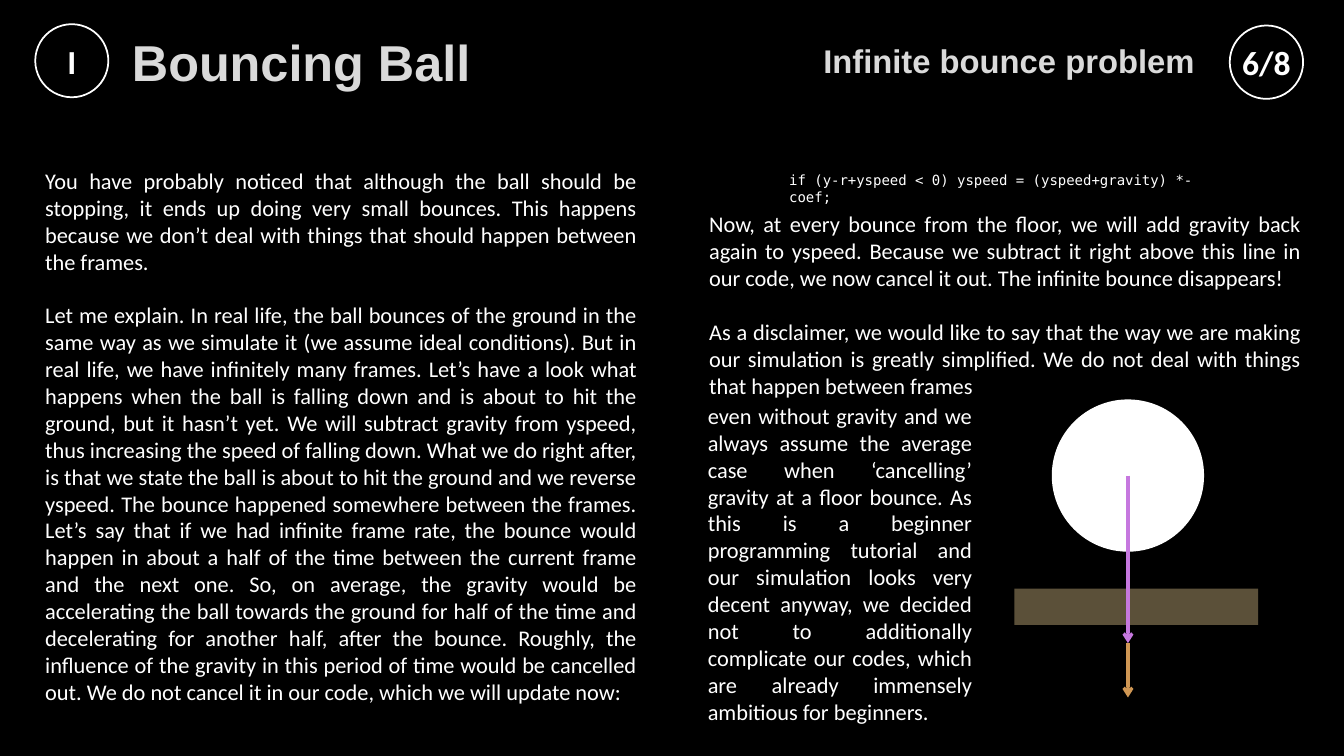
from lxml.etree import SubElement
from pptx import Presentation
from pptx.dml.color import RGBColor
from pptx.enum.shapes import MSO_CONNECTOR, MSO_SHAPE
from pptx.enum.text import MSO_ANCHOR, MSO_AUTO_SIZE, PP_ALIGN
from pptx.oxml.ns import qn
from pptx.util import Pt

BLACK = RGBColor(0x00, 0x00, 0x00)
WHITE = RGBColor(0xFF, 0xFF, 0xFF)
LIGHT_GREY = RGBColor(0xDA, 0xDA, 0xDA)
FLOOR_BROWN = RGBColor(0x5B, 0x50, 0x39)
PURPLE = RGBColor(0xC6, 0x78, 0xDF)
ORANGE = RGBColor(0xD0, 0x97, 0x54)
TITLE_EDGE = "404040"

REAL_LIFE = (
    "Let me explain. In real life, the ball bounces of the ground in the same way as we "
    "simulate it (we assume ideal conditions). But in real life, we have infinitely many "
    "frames. Let’s have a look what happens when the ball is falling down and is about to hit "
    "the ground, but it hasn’t yet. We will subtract gravity from yspeed, thus increasing the "
    "speed of falling down. What we do right after, is that we state the ball is about to hit "
    "the ground and we reverse yspeed."
)
BETWEEN_FRAMES = (
    "The bounce happened somewhere between the frames. Let’s say that if we had infinite frame "
    "rate, the bounce would happen in about a half of the time between the current frame and "
    "the next one. So, on average, the gravity would be accelerating the ball towards the "
    "ground for half of the time and decelerating for another half, after the bounce. Roughly, "
    "the influence of the gravity in this period of time would be cancelled out. We do not "
    "cancel it in our code, which we will update now:"
)
EXPLANATION = [
    "You have probably noticed that although the ball should be stopping, it ends up doing "
    "very small bounces. This happens because we don’t deal with things that should happen "
    "between the frames. ",
    " ".join([REAL_LIFE, BETWEEN_FRAMES]),
]
CODE = ["if (y-r+yspeed < 0) yspeed = (yspeed+gravity) *-coef;"]
SOLUTION = [
    "Now, at every bounce from the floor, we will add gravity back again to yspeed. Because we "
    "subtract it right above this line in our code, we now cancel it out. The infinite bounce "
    "disappears!",
    "As a disclaimer, we would like to say that the way we are making our simulation is "
    "greatly simplified. We do not deal with things that happen between frames",
]
DISCLAIMER = [
    "even without gravity and we always assume the average case when ‘cancelling’ gravity at a "
    "floor bounce. As this is a beginner programming tutorial and our simulation looks very "
    "decent anyway, we decided not to additionally complicate our codes, which are already "
    "immensely ambitious for beginners.",
]

BODY_SIZE = 16
BODY_LINE = 19.2
BODY_TEXTS = [
    (EXPLANATION, (25.2, 115.9, 437, 395.3)),
    (SOLUTION, (499.5, 146.9, 437, 143.3)),
    (DISCLAIMER, (498.5, 283.7, 203, 220.3)),
]
CODE_BOX = (556.6, 118.8, 310.3, 19.4)
TITLES = [
    ("Bouncing Ball", (87.1, 24.5, 743, 38.2), 36, PP_ALIGN.LEFT),
    ("Infinite bounce problem", (519.1, 11.5, 341.3, 63.4), 23.4, PP_ALIGN.RIGHT),
]
BADGES = [("I", (25.2, 17.3, 52.2, 52.2)), ("6/8", (878.4, 18.2, 52.4, 52.4))]

BALL_X, BALL_Y, BALL_RADIUS = 805.7, 339.7, 54.4
FLOOR = (724.5, 420.4, 174.2, 25.9)
SPEED_END, GRAVITY_END = 459.4, 498.2
ARROWS = [(PURPLE, BALL_Y, SPEED_END), (ORANGE, SPEED_END, GRAVITY_END)]

deck = Presentation()
deck.slide_width, deck.slide_height = Pt(960), Pt(540)
slide = deck.slides.add_slide(deck.slide_layouts[6])
slide.background.fill.solid()
slide.background.fill.fore_color.rgb = BLACK


def points(box):
    return [Pt(length) for length in box]


def write(frame, paragraphs, font, size, color, align, bold=False):
    frame.word_wrap = True
    for index, words in enumerate(paragraphs):
        paragraph = frame.add_paragraph() if index else frame.paragraphs[0]
        paragraph.alignment = align
        if index:
            paragraph.space_before = Pt(BODY_LINE)
        run = paragraph.add_run()
        run.text = words
        run.font.name, run.font.size, run.font.bold = font, Pt(size), bold
        run.font.color.rgb = color


def add_text(paragraphs, box, *style):
    frame = slide.shapes.add_textbox(*points(box)).text_frame
    write(frame, paragraphs, *style)
    frame.auto_size = MSO_AUTO_SIZE.SHAPE_TO_FIT_TEXT
    return frame


def add_shape(kind, box, fill=None):
    shape = slide.shapes.add_shape(kind, *points(box))
    shape.shadow.inherit = False
    shape.line.fill.background()
    if fill is None:
        shape.fill.background()
    else:
        shape.fill.solid()
        shape.fill.fore_color.rgb = fill
    return shape


def outline(run):
    properties = run._r.get_or_add_rPr()
    edge = SubElement(properties, qn("a:ln"), w=str(Pt(0.75)))
    color = SubElement(SubElement(edge, qn("a:solidFill")), qn("a:srgbClr"), val=TITLE_EDGE)
    SubElement(color, qn("a:alpha"), val="10000")
    properties.insert(0, edge)


ball_box = (BALL_X - BALL_RADIUS, BALL_Y - BALL_RADIUS, 2 * BALL_RADIUS, 2 * BALL_RADIUS)
add_shape(MSO_SHAPE.OVAL, ball_box, WHITE)
add_shape(MSO_SHAPE.RECTANGLE, FLOOR, FLOOR_BROWN)

for color, start, end in ARROWS:
    arrow = slide.shapes.add_connector(
        MSO_CONNECTOR.STRAIGHT, *points((BALL_X, start, BALL_X, end)))
    arrow.line.color.rgb = color
    arrow.line.width = Pt(2.25)
    SubElement(arrow.line._get_or_add_ln(), qn("a:tailEnd"), type="arrow")
    SubElement(arrow._element.spPr, qn("a:effectLst"))

for paragraphs, box in BODY_TEXTS:
    add_text(paragraphs, box, "Calibri", BODY_SIZE, WHITE, PP_ALIGN.JUSTIFY)
add_text(CODE, CODE_BOX, "DejaVu Sans Mono", 10, WHITE, PP_ALIGN.LEFT)

for label, box in BADGES:
    badge = add_shape(MSO_SHAPE.OVAL, box)
    badge.line.color.rgb = WHITE
    badge.line.width = Pt(1.25)
    frame = badge.text_frame
    frame.margin_left = frame.margin_top = frame.margin_right = frame.margin_bottom = 0
    frame.vertical_anchor = MSO_ANCHOR.MIDDLE
    write(frame, [label], "Calibri", 24, WHITE, PP_ALIGN.CENTER, True)

for title, box, size, align in TITLES:
    frame = add_text([title], box, "Arial", size, LIGHT_GREY, align, True)
    frame.auto_size = MSO_AUTO_SIZE.NONE
    frame.vertical_anchor = MSO_ANCHOR.MIDDLE
    outline(frame.paragraphs[0].runs[0])

deck.save("out.pptx")
